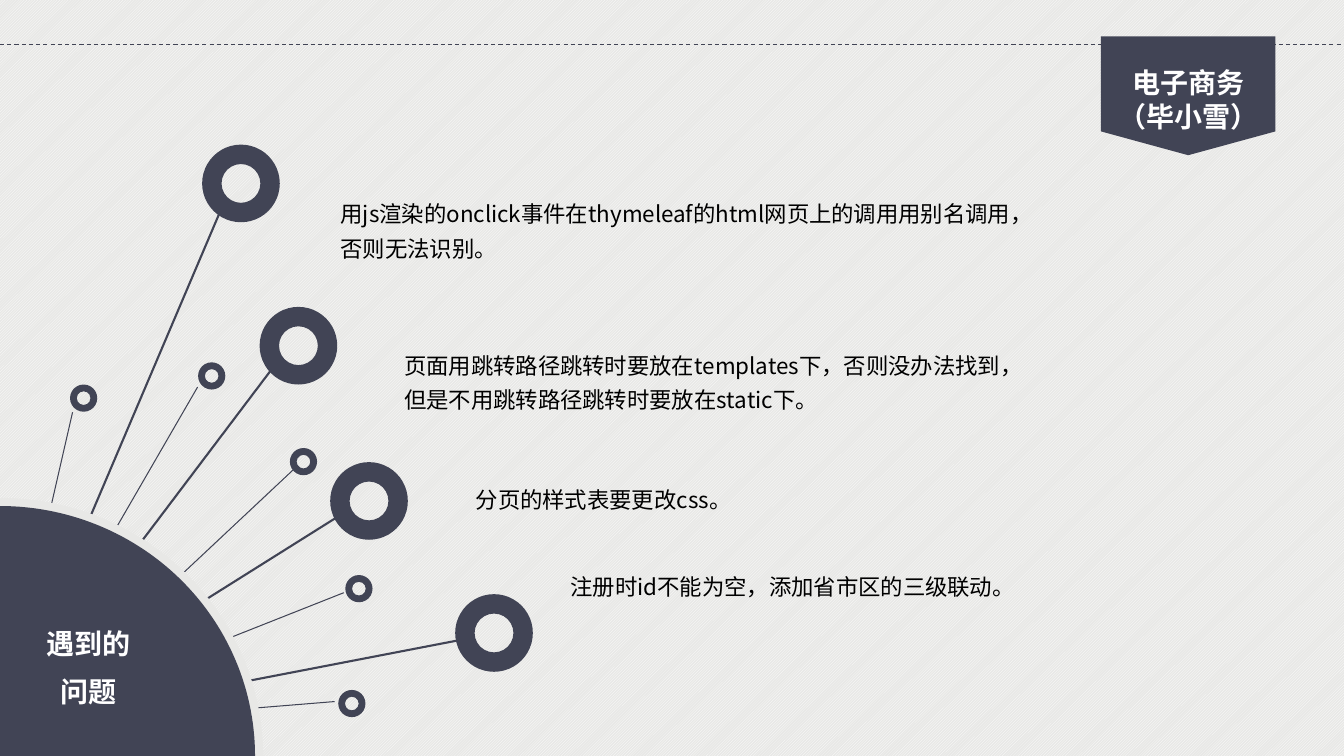
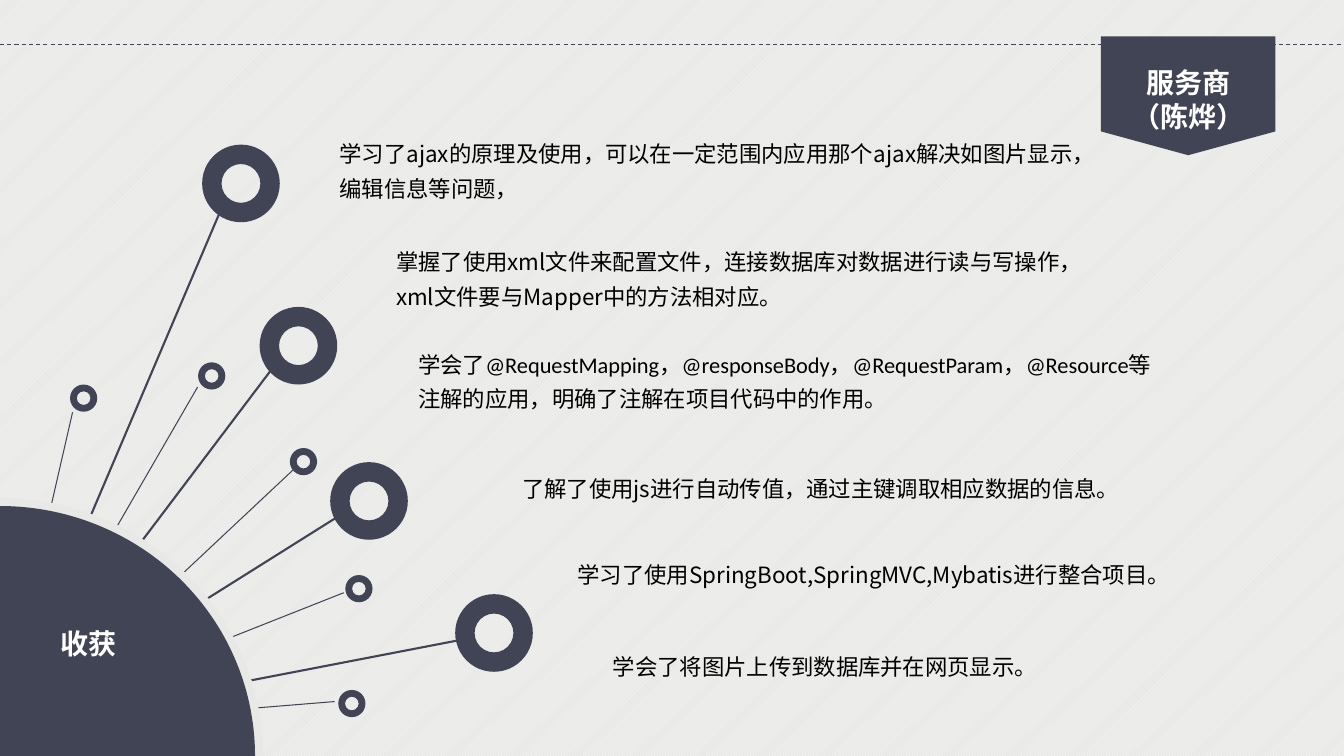
from math import cos, pi, sin

from lxml.etree import SubElement
from pptx import Presentation
from pptx.dml.color import RGBColor
from pptx.enum.dml import MSO_LINE, MSO_PATTERN
from pptx.enum.shapes import MSO_CONNECTOR, MSO_SHAPE
from pptx.enum.text import MSO_ANCHOR, MSO_AUTO_SIZE, PP_ALIGN
from pptx.oxml.ns import qn
from pptx.util import Inches, Pt

SLIDE_WIDTH, SLIDE_HEIGHT = 13.33, 7.5
NAVY, PAPER, WHITE, BLACK = "414455", "E8E8E6", "FFFFFF", "000000"
CHINESE_FONT, CODE_FONT = "Noto Sans CJK SC", "Calibri"

RIBBON_WIDTH, RIBBON_HEIGHT = 1.73, 1.18
LARGE_RING, SMALL_RING = 0.77, 0.27
THICK_LINE, THIN_LINE = 1.5, 0.75
ARC_WIDTH, ARC_HEIGHT, ARC_RIM = 2.57, 2.52, 0.04
HUB_HEIGHT, LOW_HUB_HEIGHT = 0.27, 0.11

LARGE_SPOKES = [
    ((2.39, 5.68), (2.2, 5.44), HUB_HEIGHT),
    ((2.96, 4.07), (2.72, 3.87), HUB_HEIGHT),
    ((3.66, 2.53), (3.36, 2.38), HUB_HEIGHT),
    ((4.9, 1.22), (4.56, 1.15), HUB_HEIGHT),
]
SMALL_SPOKES = [
    ((0.83, 3.55), (0.72, 3.41), HUB_HEIGHT),
    ((2.1, 3.77), (1.96, 3.66), HUB_HEIGHT),
    ((3.01, 2.92), (2.92, 2.85), LOW_HUB_HEIGHT),
    ((3.56, 1.66), (3.41, 1.62), HUB_HEIGHT),
    ((3.49, 0.52), (3.32, 0.54), HUB_HEIGHT),
]

PROBLEMS = [
    (3.28, 1.86, 6.94, 0.8, ["用js渲染的onclick事件在thymeleaf的html网页上的调用用别名调用，否则无法识别。"]),
    (3.91, 3.36, 6.46, 0.8, ["页面用跳转路径跳转时要放在templates下，否则没办法找到，但是不用跳转路径跳转时要放在static下。"]),
    (4.62, 4.69, 6.46, 0.42, ["分页的样式表要更改css。"]),
    (5.56, 5.56, 6.46, 0.42, ["注册时id不能为空，添加省市区的三级联动。"]),
]
GAINS = [
    (3.27, 1.26, 7.91, 0.8, ["学习了ajax的原理及使用，可以在一定范围内应用那个ajax解决如图片显示，编辑信息等问题，"]),
    (3.83, 2.33, 6.93, 0.8, ["掌握了使用xml文件来配置文件，连接数据库对数据进行读与写操作，xml文件要与Mapper中的方法相对应。"]),
    (4.05, 3.35, 7.63, 0.8, [
        "学会了",
        "@RequestMapping，@responseBody，@RequestParam，@Resource",
        "等注解的应用，明确了注解在项目代码中的作用。",
    ]),
    (5.08, 4.58, 6.46, 0.45, ["了解了使用js进行自动传值，通过主键调取相应数据的信息。"]),
    (5.63, 5.44, 6.46, 0.45, ["学习了使用SpringBoot,SpringMVC,Mybatis进行整合项目。"]),
    (5.98, 6.35, 6.46, 0.45, ["学会了将图片上传到数据库并在网页显示。"]),
]


def color(value):
    """Turn a hex string into a colour."""
    return RGBColor.from_string(value)


def format_paragraph(paragraph, size, font_color, bold=False):
    """Set the font of a whole paragraph, Latin and East Asian alike."""
    font = paragraph.font
    font.size, font.bold, font.name = Pt(size), bold, CHINESE_FONT
    font.color.rgb = color(font_color)
    SubElement(font._rPr, qn("a:ea"), typeface=CHINESE_FONT)


def format_label(text_frame):
    """Format the white, bold, centred text on a dark area."""
    for paragraph in text_frame.paragraphs:
        paragraph.alignment = PP_ALIGN.CENTER
        format_paragraph(paragraph, 20, WHITE, bold=True)


def paint(shape, fill_color):
    """Give a shape a flat fill without line or shadow."""
    shape.shadow.inherit = False
    shape.fill.solid()
    shape.fill.fore_color.rgb = color(fill_color)
    shape.line.fill.background()


def add_line(slide, start, end, width):
    """Draw a straight navy line between two points."""
    connector = slide.shapes.add_connector(
        MSO_CONNECTOR.STRAIGHT, *map(Inches, (*start, *end)))
    connector.line.color.rgb = color(NAVY)
    connector.line.width = Pt(width)
    SubElement(connector._element.spPr, qn("a:effectLst"))
    return connector


def add_quarter_disc(slide, left, bottom, width, height, fill_color):
    """Draw a quarter ellipse in the corner at left and bottom."""
    steps = 60
    angles = [pi / 2 * step / steps for step in range(steps + 1)]
    arc = [(Inches(left + width * sin(angle)), Inches(bottom - height * cos(angle)))
           for angle in angles]
    builder = slide.shapes.build_freeform(Inches(left), Inches(bottom))
    builder.add_line_segments(arc, close=True)
    paint(builder.convert_to_shape(), fill_color)


def add_fan(slide, left, bottom, topic):
    """Draw spokes, rings and quarter disc, measured right and up from the corner."""
    groups = [(SMALL_SPOKES, SMALL_RING, THIN_LINE), (LARGE_SPOKES, LARGE_RING, THICK_LINE)]
    for spokes, ring_size, line_width in groups:
        for (ring_x, ring_y), (end_x, end_y), hub_height in spokes:
            add_line(slide, (left + end_x, bottom - end_y), (left, bottom - hub_height), line_width)
            ring = slide.shapes.add_shape(
                MSO_SHAPE.DONUT,
                Inches(left + ring_x - ring_size / 2), Inches(bottom - ring_y - ring_size / 2),
                Inches(ring_size), Inches(ring_size))
            paint(ring, NAVY)
    for rim, fill_color in ((ARC_RIM, PAPER), (-ARC_RIM, NAVY)):
        add_quarter_disc(slide, left, bottom, ARC_WIDTH + rim, ARC_HEIGHT + rim, fill_color)
    label = slide.shapes.add_textbox(
        Inches(left + 0.11), Inches(bottom - 1.33), Inches(1.53), Inches(0.94))
    text_frame = label.text_frame
    text_frame.word_wrap = True
    text_frame.text = topic
    for paragraph in text_frame.paragraphs[1:]:
        paragraph.space_before = Pt(10)
    format_label(text_frame)


def add_ribbon(slide, left, top, title):
    """Draw the ribbon and set the title placeholder on it."""
    ribbon = slide.shapes.add_shape(
        MSO_SHAPE.FLOWCHART_OFFPAGE_CONNECTOR,
        Inches(left), Inches(top), Inches(RIBBON_WIDTH), Inches(RIBBON_HEIGHT))
    paint(ribbon, NAVY)
    placeholder = slide.shapes.title
    placeholder.left, placeholder.top = Inches(left), Inches(top + 0.24)
    placeholder.width, placeholder.height = Inches(RIBBON_WIDTH), Inches(0.77)
    text_frame = placeholder.text_frame
    text_frame.text = title
    text_frame.word_wrap = True
    text_frame.margin_left = text_frame.margin_right = 0
    text_frame.auto_size = MSO_AUTO_SIZE.NONE
    text_frame.vertical_anchor = MSO_ANCHOR.TOP
    format_label(text_frame)
    ribbon._element.addnext(placeholder._element)


def add_point(slide, left, top, width, height, pieces):
    """Write one point, with every second piece in the code font."""
    box = slide.shapes.add_textbox(*map(Inches, (left, top, width, height)))
    box.text_frame.word_wrap = True
    paragraph = box.text_frame.paragraphs[0]
    paragraph.line_spacing = 1.3
    format_paragraph(paragraph, 16, BLACK)
    for index, piece in enumerate(pieces):
        run = paragraph.add_run()
        run.text = piece
        if index % 2:
            run.font.name = CODE_FONT


def add_fan_slide(presentation, title, topic, points):
    """Build a slide with a ribbon title, a fan and its points."""
    slide = presentation.slides.add_slide(presentation.slide_layouts.get_by_name("Title Only"))
    rule = add_line(slide, (0, 0.44), (SLIDE_WIDTH, 0.44), THIN_LINE)
    rule.line.dash_style = MSO_LINE.DASH
    add_fan(slide, 0, SLIDE_HEIGHT, topic)
    for point in points:
        add_point(slide, *point)
    add_ribbon(slide, 10.92, 0.36, title)


def set_background(presentation):
    """Give the slide master its striped background."""
    fill = presentation.slide_master.background.fill
    fill.patterned()
    fill.pattern = MSO_PATTERN.LIGHT_UPWARD_DIAGONAL
    fill.fore_color.rgb = color(WHITE)
    fill.back_color.rgb = color(PAPER)


def main():
    """Build and save the presentation."""
    presentation = Presentation()
    presentation.slide_width = Inches(SLIDE_WIDTH)
    presentation.slide_height = Inches(SLIDE_HEIGHT)
    set_background(presentation)
    add_fan_slide(presentation, "电子商务\n（毕小雪）", "遇到的\n问题", PROBLEMS)
    add_fan_slide(presentation, "服务商\n（陈烨）", "收获", GAINS)
    presentation.save("out.pptx")


if __name__ == "__main__":
    main()
